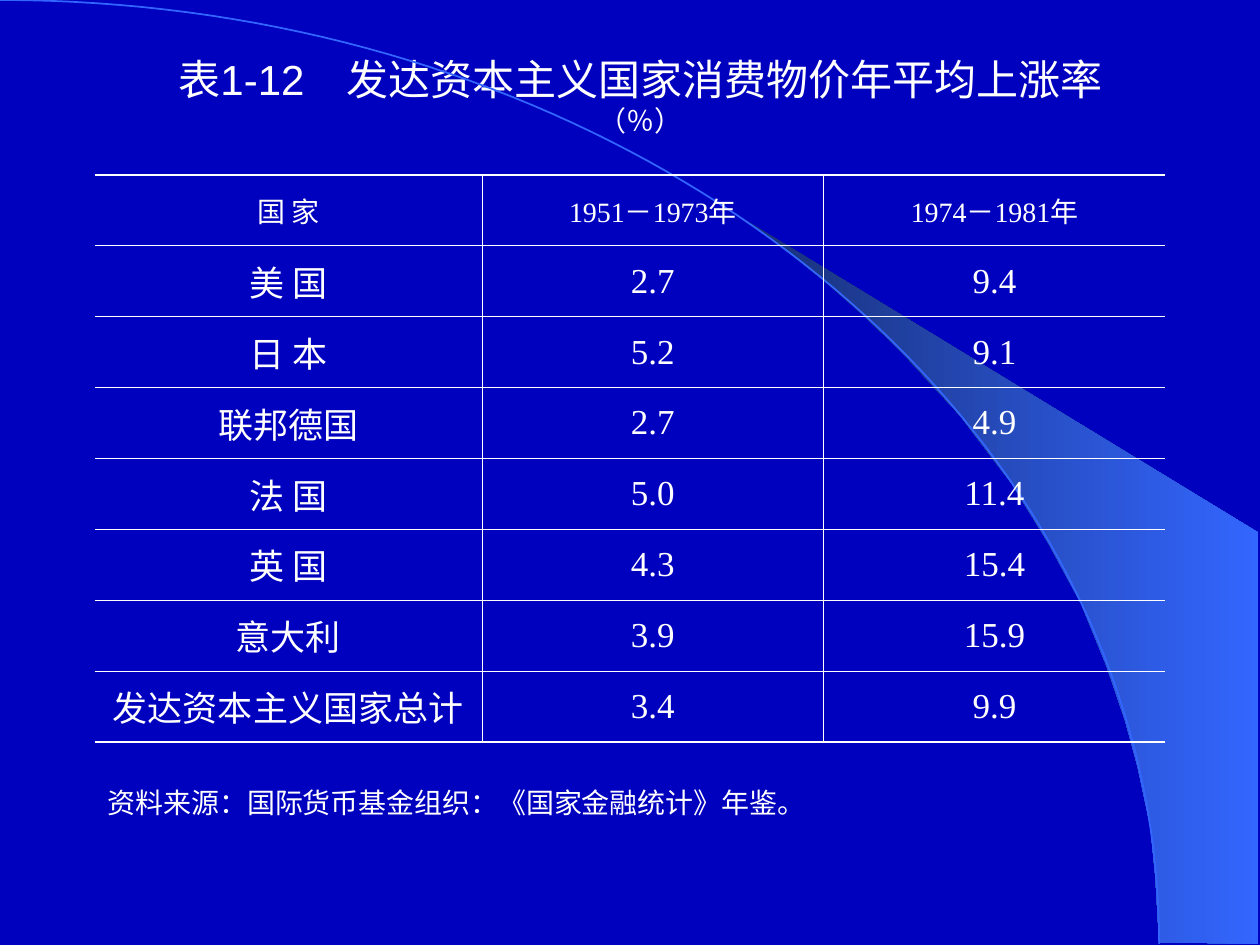
from lxml.etree import SubElement
from pptx import Presentation
from pptx.dml.color import RGBColor
from pptx.enum.text import MSO_ANCHOR, MSO_AUTO_SIZE, PP_ALIGN
from pptx.oxml import parse_xml
from pptx.oxml.ns import nsdecls, qn
from pptx.util import Pt

COLORS = {
    "background": "0000BF",
    "text": "FFFFFF",
    "shade": "182F76",
    "accent": "3366FF",
}
CHINESE, SERIF, SANS = "Noto Sans CJK SC", "Times New Roman", "Arial"
THIN, THICK = 0.45, 1.08

HEADER = ("国 家", "1951－1973年", "1974－1981年")
RATES = [
    ("美 国", "2.7", "9.4"),
    ("日 本", "5.2", "9.1"),
    ("联邦德国", "2.7", "4.9"),
    ("法 国", "5.0", "11.4"),
    ("英 国", "4.3", "15.4"),
    ("意大利", "3.9", "15.9"),
    ("发达资本主义国家总计", "3.4", "9.9"),
]
COLUMN_WIDTHS = (221.4, 195.3, 195.3)
ROW_HEIGHT = 40.5

ARC_CONTROLS = ((0, 0), (365.76, 0), (662.4, 241.2), (662.4, 539.28))
BEAM_POINTS = [
    (662.4, 538.56), (719.28, 539.28), (719.28, 304.56), (424.08, 124.56),
    (449.28, 143.28), (470.16, 159.84), (493.2, 180), (515.52, 201.6),
    (548.64, 237.6), (578.16, 276.48), (599.04, 310.32), (617.76, 344.88),
    (632.16, 380.16), (642.96, 411.84), (650.16, 438.48), (657.36, 472.32),
    (660.24, 501.12),
]


def color(name):
    return RGBColor.from_string(COLORS[name])


def apply(target, values):
    for name, value in values.items():
        setattr(target, name, value)


def add_run(paragraph, text, size, font):
    run = paragraph.add_run()
    run.text = text
    apply(run.font, {"size": Pt(size), "name": font, "bold": False})
    run.font.color.rgb = color("text")
    east_asian = SubElement(run.font._element, qn("a:ea"))
    east_asian.set("typeface", CHINESE)


def bezier_points(controls, steps=80):
    points = []
    for step in range(steps + 1):
        t = step / steps
        weights = ((1 - t) ** 3, 3 * t * (1 - t) ** 2, 3 * t * t * (1 - t), t ** 3)
        points.append(tuple(
            sum(weight * point[axis] for weight, point in zip(weights, controls))
            for axis in (0, 1)))
    return points


def add_outline(slide, points, close):
    start, *others = [(Pt(x), Pt(y)) for x, y in points]
    builder = slide.shapes.build_freeform(*start)
    builder.add_line_segments(others, close=close)
    shape = builder.convert_to_shape()
    shape.shadow.inherit = False
    return shape


def add_beam(slide):
    shape = add_outline(slide, BEAM_POINTS, True)
    shape.line.fill.background()
    shape.fill.gradient()
    shape.fill.gradient_angle = 0
    for stop, name in zip(shape.fill.gradient_stops, ("shade", "accent")):
        stop.color.rgb = color(name)
    for stop, position in zip(shape.fill.gradient_stops, (0, 1)):
        stop.position = position


def add_arc(slide):
    shape = add_outline(slide, bezier_points(ARC_CONTROLS), False)
    shape.fill.background()
    shape.line.color.rgb = color("accent")
    shape.line.width = Pt(1)


def fill_title(slide):
    title = slide.shapes.title
    apply(title, {"left": Pt(60), "top": Pt(15), "width": Pt(612), "height": Pt(79)})
    apply(title.text_frame, {
        "word_wrap": True,
        "auto_size": MSO_AUTO_SIZE.NONE,
        "vertical_anchor": MSO_ANCHOR.MIDDLE,
    })
    paragraph = title.text_frame.paragraphs[0]
    paragraph.alignment = PP_ALIGN.CENTER
    add_run(paragraph, "表1-12　发达资本主义国家消费物价年平均上涨率", 24, SANS)
    paragraph.add_line_break()
    add_run(paragraph, "（％）", 16, SANS)


def set_borders(cell, widths):
    properties = cell._tc.get_or_add_tcPr()
    for index, (side, width) in enumerate(widths.items()):
        paint = "<a:noFill/>"
        if width:
            paint = f'<a:solidFill><a:srgbClr val="{COLORS["text"]}"/></a:solidFill>'
        properties.insert(index, parse_xml(
            f'<a:ln{side} {nsdecls("a")} w="{Pt(width)}">{paint}</a:ln{side}>'))


def add_rate_table(slide):
    rows = [HEADER, *RATES]
    last_row, last_column = len(rows) - 1, len(HEADER) - 1
    table = slide.shapes.add_table(
        len(rows), len(HEADER), Pt(54), Pt(100),
        Pt(sum(COLUMN_WIDTHS)), Pt(ROW_HEIGHT * len(rows))).table
    apply(table, {"first_row": False, "horz_banding": False})
    for column, width in zip(table.columns, COLUMN_WIDTHS):
        column.width = Pt(width)
    for row, texts in enumerate(rows):
        table.rows[row].height = Pt(ROW_HEIGHT)
        for column, text in enumerate(texts):
            cell = table.cell(row, column)
            cell.vertical_anchor = MSO_ANCHOR.MIDDLE
            cell.fill.background()
            set_borders(cell, {
                "L": THIN if column > 0 else 0,
                "R": THIN if column < last_column else 0,
                "T": THIN if row > 0 else THICK,
                "B": THIN if row < last_row else THICK,
            })
            paragraph = cell.text_frame.paragraphs[0]
            paragraph.alignment = PP_ALIGN.CENTER
            add_run(paragraph, text, 20 if row else 16, SERIF if column else CHINESE)


def add_source_note(slide):
    box = slide.shapes.add_textbox(Pt(54.5), Pt(445.5), Pt(413), Pt(26.5))
    apply(box.text_frame, {"word_wrap": False, "auto_size": MSO_AUTO_SIZE.SHAPE_TO_FIT_TEXT})
    add_run(box.text_frame.paragraphs[0],
            "资料来源：国际货币基金组织：《国家金融统计》年鉴。", 16, SERIF)


def main():
    presentation = Presentation()
    apply(presentation, {"slide_width": Pt(720), "slide_height": Pt(540)})
    slide = presentation.slides.add_slide(presentation.slide_layouts[5])
    slide.background.fill.solid()
    slide.background.fill.fore_color.rgb = color("background")
    add_beam(slide)
    add_arc(slide)
    fill_title(slide)
    add_rate_table(slide)
    add_source_note(slide)
    presentation.save("out.pptx")


if __name__ == "__main__":
    main()
